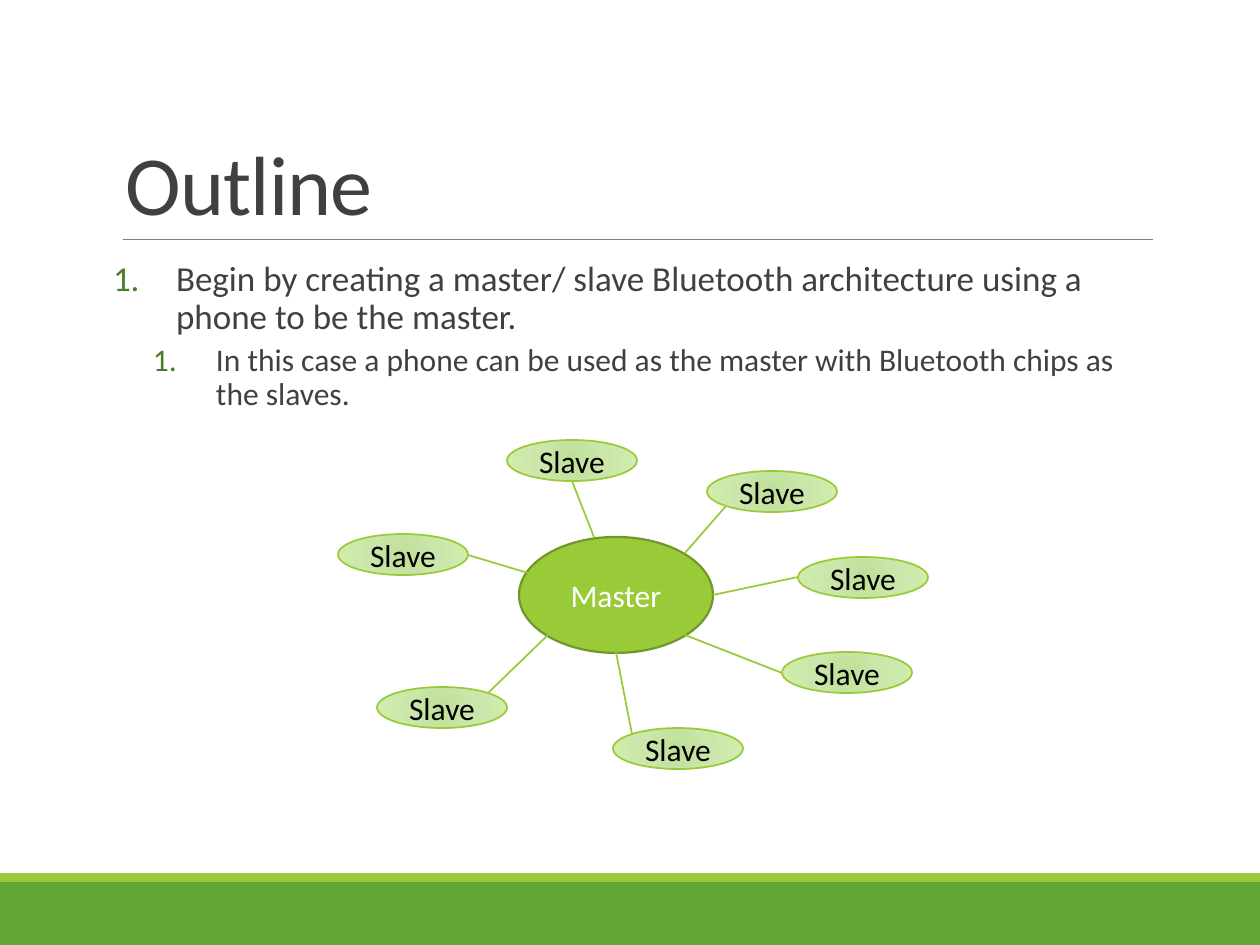
"""Build the outline slide with a master and slave diagram."""
from typing import NamedTuple

from lxml.etree import SubElement as Sub
from pptx import Presentation
from pptx.dml.color import RGBColor as Rgb
from pptx.enum.shapes import MSO_CONNECTOR as Conn, MSO_SHAPE as Form
from pptx.enum.text import MSO_ANCHOR as Anchor, MSO_AUTO_SIZE as Auto, PP_ALIGN as Align
from pptx.oxml import parse_xml
from pptx.oxml.ns import nsdecls, qn
from pptx.util import Pt

FONT = "Calibri"
HUES = {
    "band": "63A537", "lime": "99CB38", "edge": "719629", "rule": "808080",
    "text": "404040", "num": "4A7C29", "white": "FFFFFF", "black": "000000",
}
STOPS = {0: "BEDF97", 45: "CAE6A9", 100: "D0EDAE"}


class Box(NamedTuple):
    x: int
    y: int
    w: int
    h: int


class Line(NamedTuple):
    x1: int
    y1: int
    x2: int
    y2: int


class Slave(NamedTuple):
    x: int
    y: int
    link: Line


class Step(NamedTuple):
    text: str
    size: int
    level: int
    left: int
    before: int
    after: int


HUB = Box(519, 537, 194, 116)
SLAVES = [
    Slave(707, 471, Line(685, 553, 726, 506)),
    Slave(798, 557, Line(713, 595, 798, 577)),
    Slave(782, 652, Line(685, 635, 782, 673)),
    Slave(613, 728, Line(616, 652, 632, 734)),
    Slave(377, 687, Line(488, 693, 548, 635)),
    Slave(338, 534, Line(468, 555, 528, 573)),
    Slave(507, 440, Line(572, 481, 594, 537)),
]
STEPS = [
    Step("Begin by creating a master/ slave Bluetooth architecture using a "
         "phone to be the master.", 20, 0, 63, 0, 2),
    Step("In this case a phone can be used as the master with Bluetooth chips "
         "as the slaves.", 18, 1, 103, 2, 4),
]


def px(n: int) -> int:
    """Turn px into EMU."""
    return round(n * 914400 / 126)


def place(box: Box) -> list[int]:
    """Give a box in EMU."""
    return [px(n) for n in box]


def hue(name: str) -> Rgb:
    """Look up a colour."""
    return Rgb.from_string(HUES[name])


def add_run(para, text: str, size: int, name: str):
    """Add one styled run."""
    run = para.add_run()
    run.text = text
    run.font.name, run.font.size = FONT, Pt(size)
    run.font.color.rgb = hue(name)
    return run


def add_form(slide, form, box: Box, fill: str):
    """Add a flat shape without a line."""
    shape = slide.shapes.add_shape(form, *place(box))
    shape.shadow.inherit = False
    shape.fill.solid()
    shape.fill.fore_color.rgb = hue(fill)
    shape.line.fill.background()
    return shape


def add_line(slide, line: Line, name: str, width: float) -> None:
    """Add a straight line without a shadow."""
    wire = slide.shapes.add_connector(Conn.STRAIGHT, *[px(n) for n in line])
    wire.line.color.rgb = hue(name)
    wire.line.width = Pt(width)
    Sub(wire._element.spPr, qn("a:effectLst"))


def add_node(slide, box: Box, text: str, ink: str, edge: str, width: float):
    """Add a labelled ellipse."""
    node = add_form(slide, Form.OVAL, box, "lime")
    node.line.color.rgb = hue(edge)
    node.line.width = Pt(width)
    frame = node.text_frame
    frame.margin_left = frame.margin_right = 0
    frame.vertical_anchor = Anchor.MIDDLE
    para = frame.paragraphs[0]
    para.alignment = Align.CENTER
    add_run(para, text, 18, ink)
    return node


def shade(node) -> None:
    """Swap the flat fill for a round gradient."""
    stops = "".join(
        f'<a:gs pos="{pos * 1000}"><a:srgbClr val="{val}"/></a:gs>'
        for pos, val in STOPS.items())
    grad = parse_xml(
        f'<a:gradFill {nsdecls("a")} rotWithShape="1"><a:gsLst>{stops}</a:gsLst>'
        '<a:path path="circle"><a:fillToRect l="100000" t="100000" '
        'r="100000" b="100000"/></a:path></a:gradFill>')
    prop = node._element.spPr
    prop.replace(prop.find(qn("a:solidFill")), grad)


def add_title(slide, text: str) -> None:
    """Move and fill the title."""
    title = slide.shapes.title
    title.left, title.top, title.width, title.height = place(Box(113, 39, 1040, 200))
    frame = title.text_frame
    frame.auto_size = Auto.NONE
    frame.vertical_anchor = Anchor.BOTTOM
    para = frame.paragraphs[0]
    para.alignment, para.line_spacing = Align.LEFT, 0.85
    run = add_run(para, text, 48, "text")
    run.font._element.set("spc", "-50")


def add_steps(slide) -> None:
    """Add the numbered list."""
    frame = slide.shapes.add_textbox(*place(Box(113, 255, 1040, 554))).text_frame
    frame.word_wrap = True
    frame.margin_left = frame.margin_right = 0
    for i, step in enumerate(STEPS):
        para = frame.add_paragraph() if i else frame.paragraphs[0]
        prop = para._p.get_or_add_pPr()
        prop.set("marL", str(px(step.left)))
        prop.set("indent", str(px(-63)))
        Sub(Sub(prop, qn("a:buClr")), qn("a:srgbClr"), val=HUES["num"])
        Sub(prop, qn("a:buFont"), typeface=FONT)
        Sub(prop, qn("a:buAutoNum"), type="arabicPeriod")
        para.level, para.line_spacing = step.level, 0.9
        para.space_before, para.space_after = Pt(step.before), Pt(step.after)
        add_run(para, step.text, step.size, "text")


def main() -> None:
    """Build and save the slide."""
    deck = Presentation()
    deck.slide_width, deck.slide_height = px(1260), px(945)
    slide = deck.slides.add_slide(deck.slide_layouts[5])
    add_form(slide, Form.RECTANGLE, Box(0, 882, 1260, 63), "band")
    add_form(slide, Form.RECTANGLE, Box(0, 873, 1260, 9), "lime")
    add_line(slide, Line(123, 239, 1153, 239), "rule", 0.5)
    add_title(slide, "Outline")
    add_steps(slide)
    add_node(slide, HUB, "Master", "white", "edge", 1.25)
    for slave in SLAVES:
        box = Box(slave.x, slave.y, 130, 41)
        shade(add_node(slide, box, "Slave", "black", "lime", 1))
        add_line(slide, slave.link, "lime", 1)
    deck.save("out.pptx")


if __name__ == "__main__":
    main()
